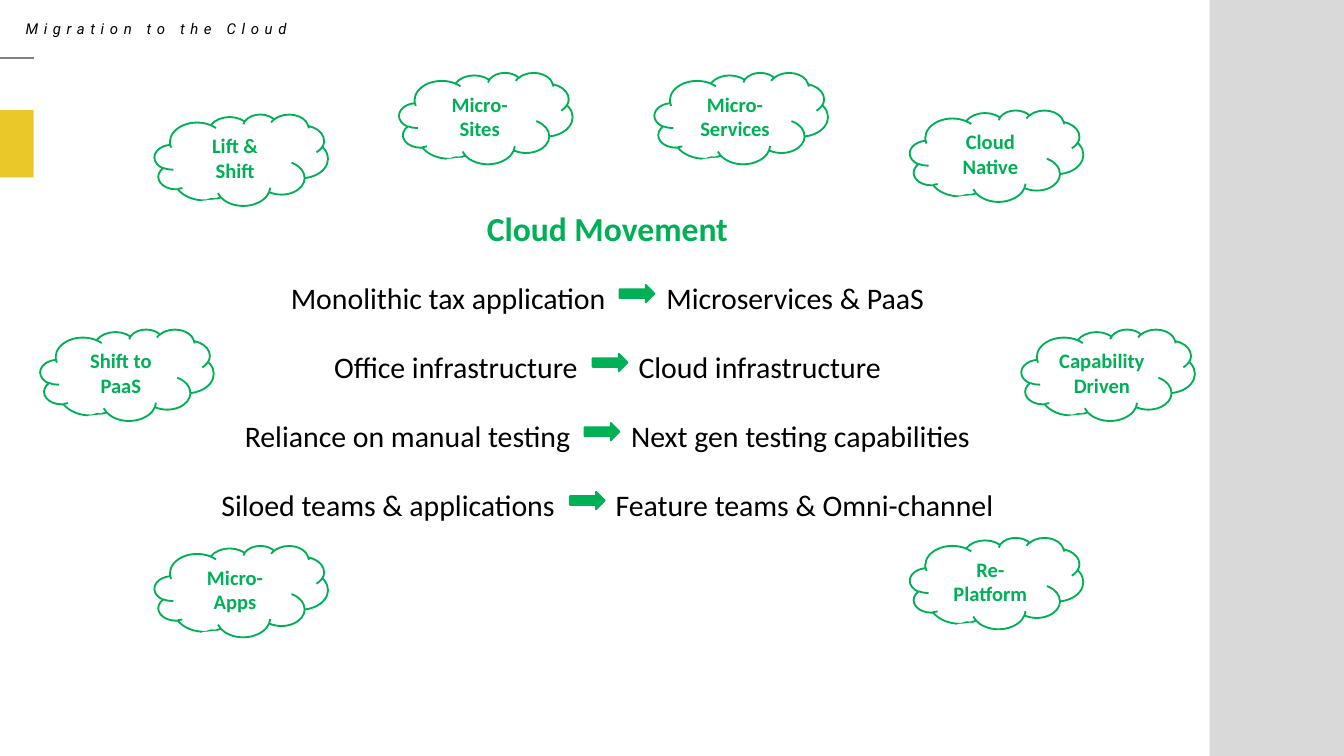
from dataclasses import dataclass

from pptx import Presentation
from pptx import util as u
from pptx.dml.color import RGBColor
from pptx.enum import shapes, text
from pptx.oxml import parse_xml
from pptx.oxml.ns import nsdecls


@dataclass(frozen=True)
class Theme:
    green: RGBColor = RGBColor.from_string("00B057")
    yellow: RGBColor = RGBColor.from_string("EAC827")
    panel: RGBColor = RGBColor.from_string("D9D9D9")
    rule: RGBColor = RGBColor.from_string("808080")
    ink: RGBColor = RGBColor.from_string("000000")
    paper: RGBColor = RGBColor.from_string("FFFFFF")
    body_font: str = "Calibri"
    title_font: str = "Roboto"
    title_size: int = 8
    cloud_size: int = 11
    row_size: int = 16
    heading_size: int = 18
    line_width: int = 1


SLIDE_WIDTH = 10
SLIDE_HEIGHT = SLIDE_WIDTH * 9 / 16
CLOUD_SIZE = (1.29, 0.68)
# Outline, measured from the cloud's corner, that covers the callout's tail
TAIL_COVER = [(0.36, 0.65), (0.46, 0.64), (0.49, 0.65), (0.5, 0.69), (0.5, 0.73),
              (0.46, 0.77), (0.41, 0.79), (0.35, 0.79), (0.34, 0.7)]
CLOUDS = [
    (1.15, 0.85, ["Lift & Shift"]),
    (0.3, 2.45, ["Shift to PaaS"]),
    (6.77, 0.82, ["Cloud Native"]),
    (4.87, 0.54, ["Micro-Services"]),
    (2.97, 0.54, ["Micro-", "Sites"]),
    (1.15, 4.06, ["Micro-", "Apps"]),
    (6.77, 4, ["Re-Platform"]),
    (7.6, 2.45, ["Capability Driven"]),
]
ROWS = [
    ("Monolithic tax application", "Microservices & PaaS", 4.61),
    ("Office infrastructure", "Cloud infrastructure", 4.41),
    ("Reliance on manual testing", "Next gen testing capabilities", 4.35),
    ("Siloed teams & applications", "Feature teams & Omni-channel", 4.24),
]
ROW_LEFT, ROW_TOP, LAST_ROW_TOP = 1.59, 1.95, 3.49
ROW_PITCH = (LAST_ROW_TOP - ROW_TOP) / (len(ROWS) - 1)
ARROW_DROP = 0.17
ARROW_GAP_POINTS = 28.9


class SlideBuilder:
    def __init__(self, slide, theme):
        self.slide = slide
        self.theme = theme

    def style_shape(self, shape, fill=None, line=None):
        shape.shadow.inherit = False
        if fill is None:
            shape.fill.background()
        else:
            shape.fill.solid()
            shape.fill.fore_color.rgb = fill
        if line is None:
            shape.line.fill.background()
        else:
            shape.line.color.rgb = line
            shape.line.width = u.Pt(self.theme.line_width)

    def style_paragraph(self, paragraph, size, color, bold=False, name=None):
        font = paragraph.font
        font.name = name or self.theme.body_font
        font.size = u.Pt(size)
        font.color.rgb = color
        font.bold = bold

    def clear_margins(self, frame):
        frame.margin_left = frame.margin_right = 0
        frame.margin_top = frame.margin_bottom = 0
        frame.word_wrap = True
        frame.auto_size = text.MSO_AUTO_SIZE.NONE
        frame.vertical_anchor = text.MSO_ANCHOR.TOP

    def add_run(self, paragraph, words, spacing=None):
        """Add a run; spacing is the extra points after each letter."""
        run = paragraph.add_run()
        run.text = words
        if spacing is not None:
            run.font._element.set("spc", str(round(spacing * 100)))

    def add_block(self, kind, left, top, width, height, fill, line=None):
        shape = self.slide.shapes.add_shape(
            kind, u.Inches(left), u.Inches(top), u.Inches(width), u.Inches(height))
        self.style_shape(shape, fill, line)

    def add_rule(self, left, right, top):
        connector = self.slide.shapes.add_connector(
            shapes.MSO_CONNECTOR.STRAIGHT,
            u.Inches(left), u.Inches(top), u.Inches(right), u.Inches(top))
        connector.line.color.rgb = self.theme.rule
        connector.line.width = u.Pt(self.theme.line_width)
        connector._element.spPr.append(parse_xml(f"<a:effectLst {nsdecls('a')}/>"))

    def add_title(self, words):
        title = self.slide.shapes.title
        title.left, title.top = u.Inches(0.19), u.Inches(0.16)
        title.width, title.height = u.Inches(3.95), u.Inches(0.17)
        self.clear_margins(title.text_frame)
        paragraph = title.text_frame.paragraphs[0]
        paragraph.alignment = text.PP_ALIGN.LEFT
        paragraph.line_spacing = 0.9
        paragraph.space_before = u.Pt(7.5)
        self.style_paragraph(paragraph, self.theme.title_size, self.theme.ink,
                             name=self.theme.title_font)
        paragraph.font.italic = True
        self.add_run(paragraph, words, spacing=3)

    def add_centered_line(self, left, top, height, size, color, bold=False):
        """Add an empty centred text line and return its paragraph."""
        box = self.slide.shapes.add_textbox(
            u.Inches(left), u.Inches(top), u.Inches(5.86), u.Inches(height))
        self.clear_margins(box.text_frame)
        paragraph = box.text_frame.paragraphs[0]
        paragraph.alignment = text.PP_ALIGN.CENTER
        paragraph.line_spacing = 1.5
        paragraph.space_before = u.Pt(7.5)
        self.style_paragraph(paragraph, size, color, bold)
        return paragraph

    def add_heading(self, words):
        paragraph = self.add_centered_line(
            1.59, 1.4, 0.41, self.theme.heading_size, self.theme.green, bold=True)
        self.add_run(paragraph, words)

    def add_row(self, top, before, after, arrow_left):
        paragraph = self.add_centered_line(
            ROW_LEFT, top, 0.44, self.theme.row_size, self.theme.ink)
        self.add_run(paragraph, before)
        self.add_run(paragraph, " ", spacing=ARROW_GAP_POINTS)
        self.add_run(paragraph, after)
        self.add_block(shapes.MSO_SHAPE.RIGHT_ARROW, arrow_left, top + ARROW_DROP,
                       0.26, 0.13, self.theme.green, self.theme.green)

    def add_cloud(self, left, top, lines):
        group = self.slide.shapes.add_group_shape()
        cloud = group.shapes.add_shape(
            shapes.MSO_SHAPE.CLOUD_CALLOUT, u.Inches(left), u.Inches(top),
            *map(u.Inches, CLOUD_SIZE))
        self.style_shape(cloud, line=self.theme.green)
        frame = cloud.text_frame
        frame.word_wrap = True
        frame.vertical_anchor = text.MSO_ANCHOR.MIDDLE
        frame.text = "\n".join(lines)
        for paragraph in frame.paragraphs:
            paragraph.alignment = text.PP_ALIGN.CENTER
            self.style_paragraph(paragraph, self.theme.cloud_size,
                                 self.theme.green, bold=True)
        points = [(u.Inches(left + x), u.Inches(top + y)) for x, y in TAIL_COVER]
        outline = group.shapes.build_freeform(*points[0])
        outline.add_line_segments(points[1:], close=True)
        self.style_shape(outline.convert_to_shape(), self.theme.paper, self.theme.paper)


def main():
    presentation = Presentation()
    presentation.slide_width = u.Inches(SLIDE_WIDTH)
    presentation.slide_height = u.Inches(SLIDE_HEIGHT)
    slide = presentation.slides.add_slide(presentation.slide_layouts[5])
    theme = Theme()
    builder = SlideBuilder(slide, theme)

    rectangle = shapes.MSO_SHAPE.RECTANGLE
    builder.add_block(rectangle, 9, 0, 1, SLIDE_HEIGHT, theme.panel)
    builder.add_block(rectangle, 0, 0.82, 0.25, 0.5, theme.yellow)
    builder.add_rule(0, 0.25, 0.43)
    builder.add_title("Migration to the Cloud")
    builder.add_heading("Cloud Movement")
    for cloud in CLOUDS:
        builder.add_cloud(*cloud)
    for index, row in enumerate(ROWS):
        builder.add_row(ROW_TOP + index * ROW_PITCH, *row)

    presentation.save("out.pptx")


if __name__ == "__main__":
    main()
